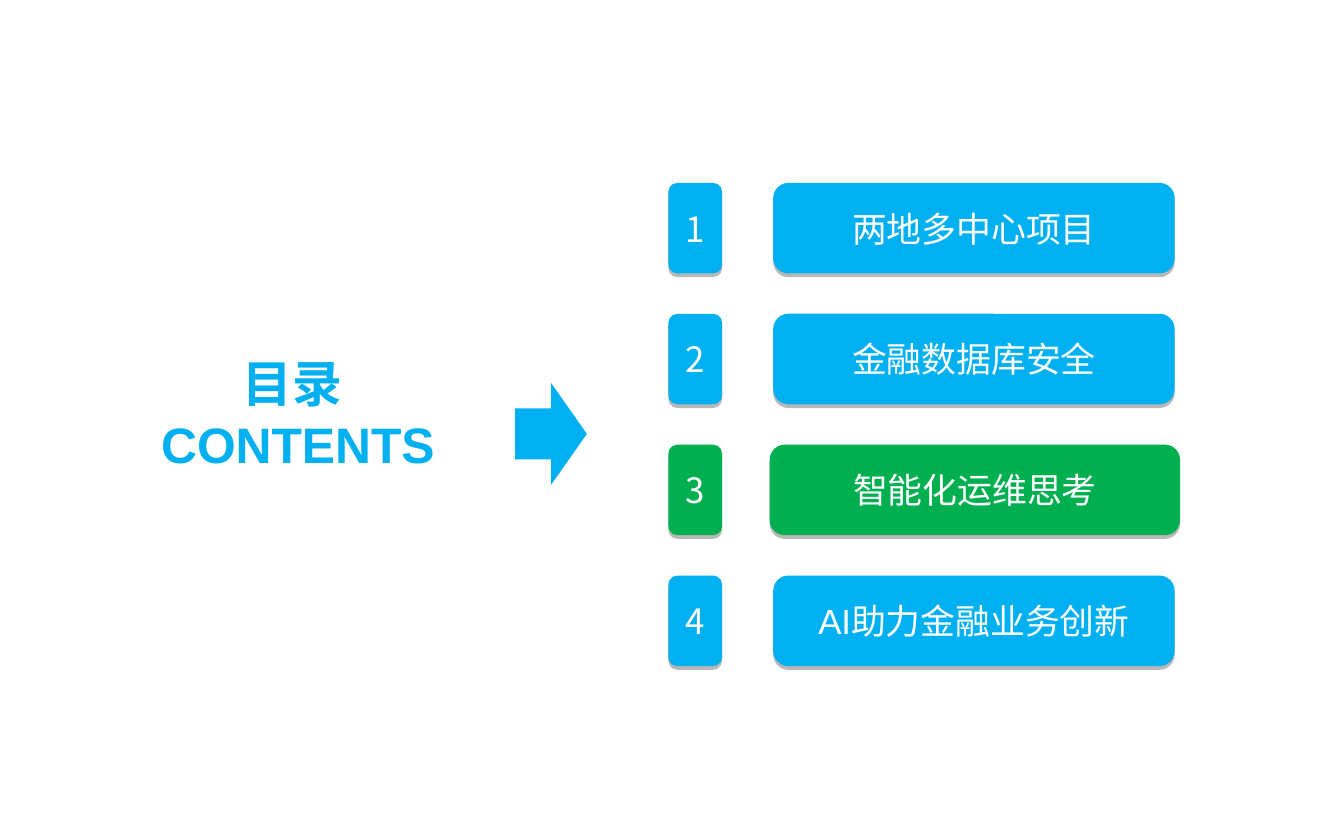
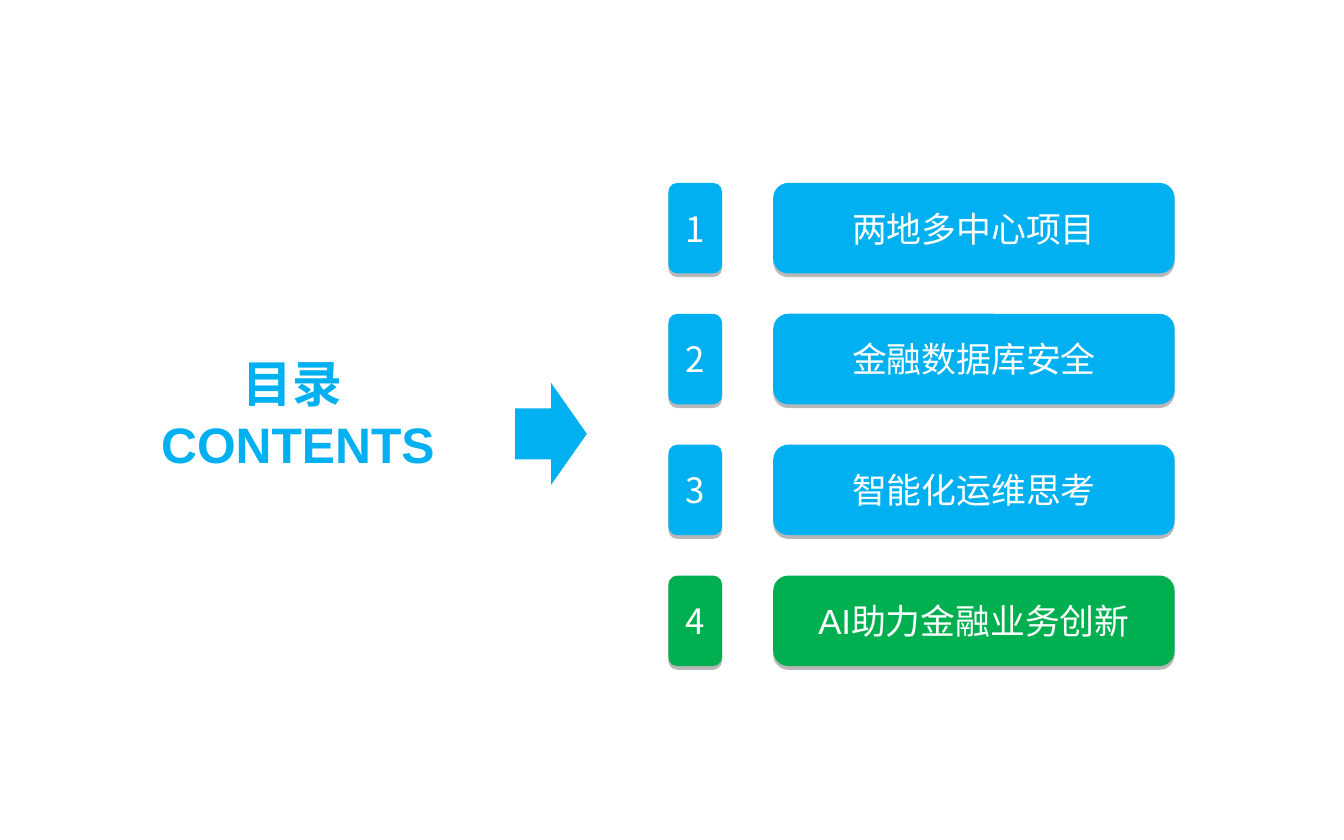
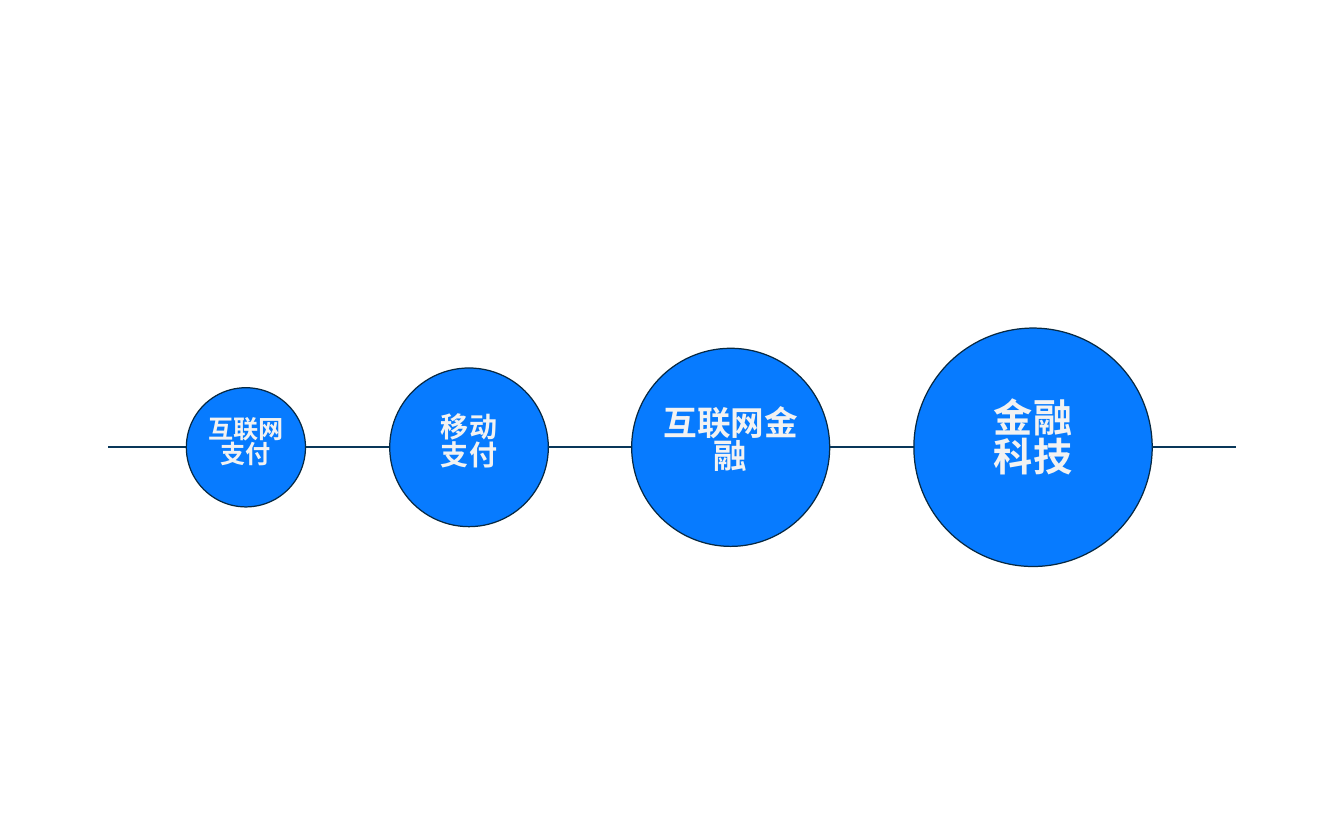
from dataclasses import dataclass

from lxml import etree
from pptx import Presentation
from pptx.dml.color import RGBColor
from pptx.enum.shapes import MSO_CONNECTOR, MSO_SHAPE
from pptx.enum.text import MSO_ANCHOR, MSO_AUTO_SIZE, PP_ALIGN
from pptx.oxml import parse_xml
from pptx.oxml.ns import nsdecls, qn
from pptx.util import Inches, Pt

# Shared style
SKY = RGBColor(0x00, 0xB0, 0xF0)
GREEN = RGBColor(0x00, 0xB0, 0x50)
WHITE = RGBColor(0xFF, 0xFF, 0xFF)
BLUE = RGBColor(0x07, 0x7B, 0xFF)
OUTLINE = RGBColor(0x07, 0x29, 0x42)
AXIS = RGBColor(0x09, 0x37, 0x59)
PALE = RGBColor(0xF2, 0xF2, 0xF2)
LATIN, CJK = "Arial", "Noto Sans CJK SC"

ROUND_RECT, OVAL = MSO_SHAPE.ROUNDED_RECTANGLE, MSO_SHAPE.OVAL
DOWN_ARROW, STRAIGHT = MSO_SHAPE.DOWN_ARROW, MSO_CONNECTOR.STRAIGHT
CENTER = PP_ALIGN.CENTER
TOP, MIDDLE = MSO_ANCHOR.TOP, MSO_ANCHOR.MIDDLE
NO_FIT = MSO_AUTO_SIZE.NONE
TITLE_ONLY, BLANK = 5, 6

# Agenda rows
ITEMS = ["两地多中心项目", "金融数据库安全", "智能化运维思考", "AI助力金融业务创新"]
ROW_TOP, ROW_PITCH, ROW_HEIGHT = 2.04, 1.46, 1.01
NUMBER_LEFT, NUMBER_WIDTH = 7.46, 0.6

# Timeline
AXIS_Y, AXIS_START, AXIS_END = 4.99, 1.21, 13.79
LABEL_Y = 4.97


@dataclass
class Agenda:
    active: int
    active_left: float = 8.63
    active_width: float = 4.48


@dataclass
class Stage:
    lines: list[str]
    left: float
    diameter: float
    size: float
    label_width: float
    label_height: float


AGENDAS = [Agenda(3, 8.59, 4.58), Agenda(4)]
STAGES = [
    Stage(["互联网", "支付"], 2.08, 1.33, 20.2, 1.7, 0.78),
    Stage(["移动", "支付"], 4.35, 1.77, 22.5, 1.25, 0.86),
    Stage(["互联网金融"], 7.05, 2.21, 27, 1.7, 1.01),
    Stage(["金融", "科技"], 10.2, 2.66, 31.5, 1.7, 1.16),
]


def write(sp, lines: list[str], spacing: list[float], font: str, **style) -> None:
    """Fill a shape with centred paragraphs in one font style."""
    tf = sp.text_frame
    tf.word_wrap = True
    for i, line in enumerate(lines):
        p = tf.paragraphs[0] if i == 0 else tf.add_paragraph()
        p.alignment = CENTER
        p.line_spacing = spacing[i]
        r = p.add_run()
        r.text = line
        r.font.name = font
        r.font.color.rgb = style["color"]
        for key in ("size", "bold"):
            setattr(r.font, key, style[key])
        ea = etree.SubElement(r.font._element, qn("a:ea"))
        ea.set("typeface", CJK)


def add_filled(shapes, kind, box: tuple, fill: RGBColor):
    sp = shapes.add_shape(kind, *map(Inches, box))
    sp.shadow.inherit = False
    sp.fill.solid()
    sp.fill.fore_color.rgb = fill
    sp.line.fill.background()
    return sp


def add_button(shapes, left: float, top: float, width: float, fill: RGBColor,
               text: str, font: str) -> None:
    sp = add_filled(shapes, ROUND_RECT, (left, top, width, ROW_HEIGHT), fill)
    # Hard shadow just below the button
    sp._element.spPr.find(qn("a:effectLst")).append(parse_xml(
        f'<a:outerShdw {nsdecls("a")} blurRad="0" dist="{Pt(3)}" dir="5400000" '
        'algn="t" rotWithShape="0"><a:srgbClr val="000000">'
        '<a:alpha val="27000"/></a:srgbClr></a:outerShdw>'))
    sp.text_frame.vertical_anchor = MIDDLE
    write(sp, [text], [1.0], font, size=Pt(28), bold=False, color=WHITE)


def add_agenda(prs, agenda: Agenda) -> None:
    s = prs.slides.add_slide(prs.slide_layouts[TITLE_ONLY])

    # Title and arrow
    title = s.shapes.title
    box = dict(left=0.85, top=3.96, width=4.95, height=1.45)
    for key, value in box.items():
        setattr(title, key, Inches(value))
    title.text_frame.vertical_anchor = TOP
    title.text_frame.auto_size = NO_FIT
    write(title, ["目录 ", "CONTENTS"], [0.91, 1.0], LATIN,
          size=Pt(40), bold=True, color=SKY)
    arrow = add_filled(s.shapes, DOWN_ARROW, (5.58, 4.44, 1.14, 0.8), SKY)
    arrow.rotation = 270

    # Numbered rows
    for number, item in enumerate(ITEMS, 1):
        active = number == agenda.active
        fill = GREEN if active else SKY
        left = agenda.active_left if active else Agenda.active_left
        width = agenda.active_width if active else Agenda.active_width
        top = ROW_TOP + (number - 1) * ROW_PITCH
        row = s.shapes.add_group_shape().shapes
        add_button(row, NUMBER_LEFT, top, NUMBER_WIDTH, fill, str(number), CJK)
        add_button(row, left, top, width, fill, item, LATIN)


def add_axis_part(shapes, start: float, end: float) -> None:
    line = shapes.add_connector(STRAIGHT, Inches(start), Inches(AXIS_Y),
                                Inches(end), Inches(AXIS_Y))
    line.line.color.rgb = AXIS
    line.line.width = Pt(1.5)
    etree.SubElement(line._element.spPr, qn("a:effectLst"))


def add_stage(shapes, stage: Stage) -> None:
    d = stage.diameter
    circle = add_filled(shapes, OVAL, (stage.left, AXIS_Y - d / 2, d, d), BLUE)
    circle.line.color.rgb = OUTLINE
    circle.line.width = Pt(1)

    w, h = stage.label_width, stage.label_height
    label = shapes.add_textbox(Inches(stage.left + (d - w) / 2),
                               Inches(LABEL_Y - h / 2), Inches(w), Inches(h))
    label.text_frame.margin_top = Inches(0.09)
    write(label, stage.lines, [0.83] * len(stage.lines), CJK,
          size=Pt(stage.size), bold=True, color=PALE)


def add_timeline(prs) -> None:
    s = prs.slides.add_slide(prs.slide_layouts[BLANK])
    shapes = s.shapes.add_group_shape().shapes
    start = AXIS_START
    for stage in STAGES:
        add_axis_part(shapes, start, stage.left)
        add_stage(shapes, stage)
        start = stage.left + stage.diameter
    add_axis_part(shapes, start, AXIS_END)


def main() -> None:
    prs = Presentation()
    prs.slide_width, prs.slide_height = Inches(15), Inches(9.37)
    for agenda in AGENDAS:
        add_agenda(prs, agenda)
    add_timeline(prs)
    prs.save("out.pptx")


if __name__ == "__main__":
    main()
